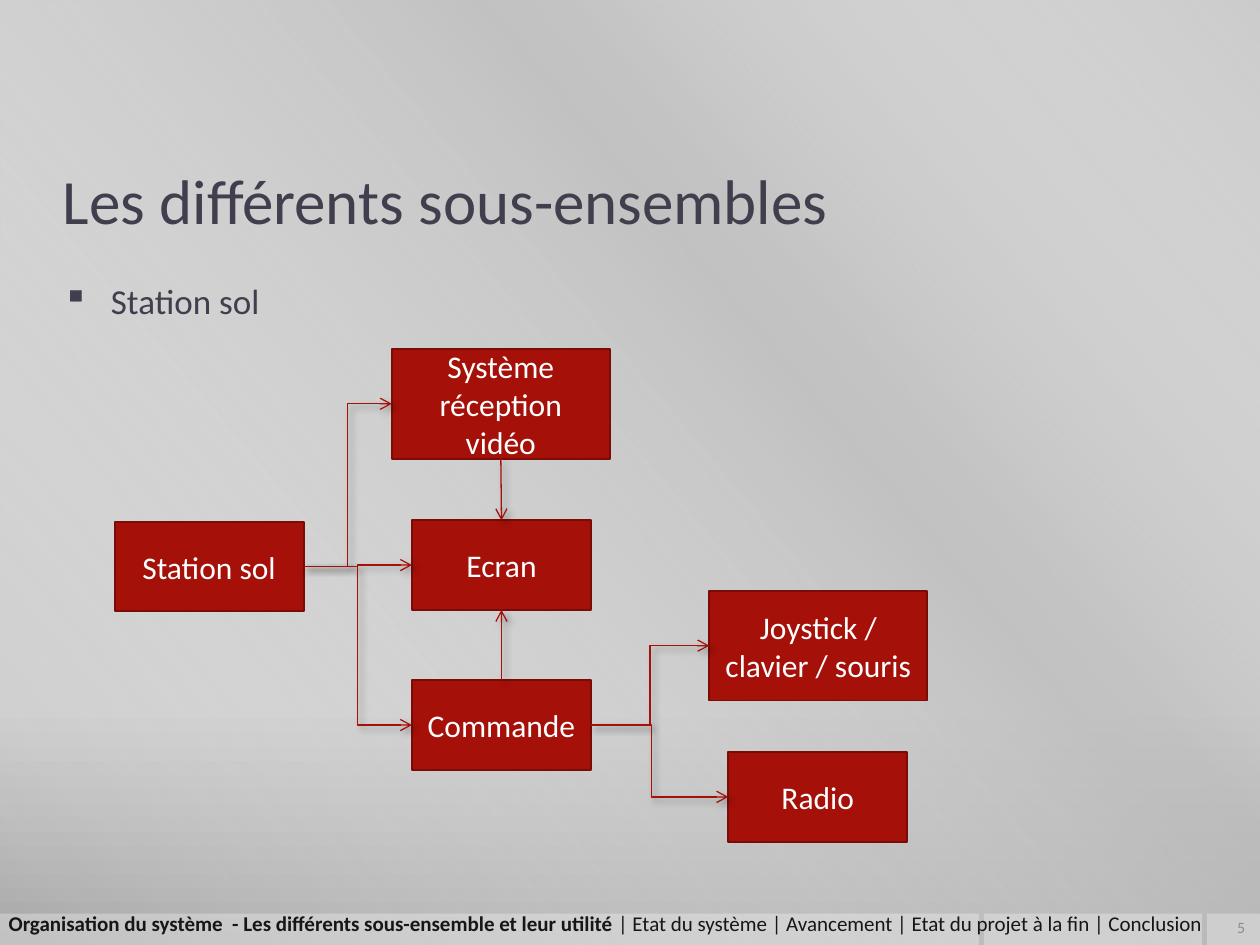
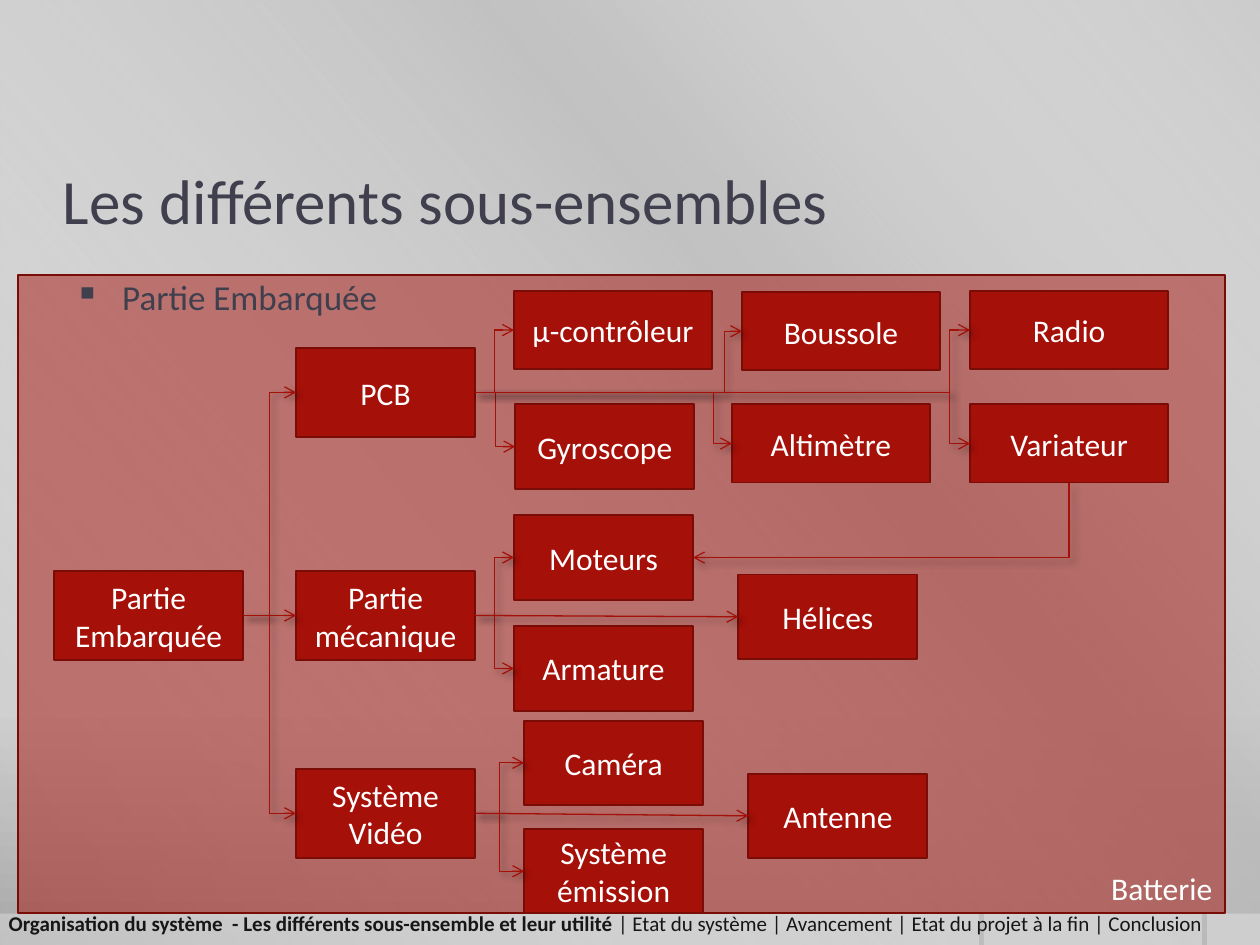
from pptx import Presentation
from pptx.dml.color import RGBColor
from pptx.enum.shapes import MSO_CONNECTOR as Link, MSO_SHAPE as Preset
from pptx.enum.text import MSO_ANCHOR as Anchor, PP_ALIGN as Align
from pptx.oxml import parse_xml
from pptx.oxml.ns import nsdecls, qn
from pptx.util import Inches, Pt

# Shared look
FONT = "Calibri"
RED = RGBColor(0xA5, 0x10, 0x09)
DARK_RED = RGBColor(0x7A, 0x0C, 0x07)
SLATE = RGBColor(0x3F, 0x3F, 0x4D)
INK = RGBColor(0x16, 0x16, 0x16)
GREY = RGBColor(0x8C, 0x8C, 0x8C)
WHITE = RGBColor(0xFF, 0xFF, 0xFF)

# Gradient stops: position, colour, opacity (percent)
BACKDROP = [(0, "CBCBCB", 100), (76, "C8C8C8", 100), (100, "A7A7A7", 100)]
SHEEN = [(0, "FFFFFF", 0), (34, "BFBFBF", 61), (38, "BFBFBF", 76), (100, "FFFFFF", 0)]
BANDS = [(9.58, 0.42), (7.81, 1.73), (0, 7.77)]

TITLE = "Les différents sous-ensembles"
CURRENT_PART = "Organisation du système  - Les différents sous-ensemble et leur utilité "
OTHER_PARTS = "| Etat du système | Avancement | Etat du projet à la fin | Conclusion"

# Connection sites of a rectangle
TOP, LEFT, BOTTOM, RIGHT = range(4)

# Box sizes
ROOT = (1.5, 0.71)
UNIT = (1.42, 0.71)
PART = (1.42, 0.67)
CHIP = (1.57, 0.62)
WIDE = (1.73, 0.87)


def add_xml(parent, tag, **attributes):
    child = parent.makeelement(qn(tag), attributes)
    parent.append(child)
    return child


def set_gradient(owner, stops, angle):
    """Replace the solid fill of owner by a linear gradient."""
    marks = "".join(
        f'<a:gs pos="{place * 1000}"><a:srgbClr val="{colour}">'
        f'<a:alpha val="{opacity * 1000}"/></a:srgbClr></a:gs>'
        for place, colour, opacity in stops)
    gradient = parse_xml(
        f'<a:gradFill {nsdecls("a")} rotWithShape="1"><a:gsLst>{marks}</a:gsLst>'
        f'<a:lin ang="{angle * 60000}" scaled="0"/></a:gradFill>')
    owner.replace(owner.find(qn("a:solidFill")), gradient)


def set_font(para, size, colour):
    para.font.name = FONT
    para.font.size = Pt(size)
    para.font.color.rgb = colour


def add_rect(page, left, top, width, height, colour, opacity=100, edge=None):
    rect = page.shapes.add_shape(
        Preset.RECTANGLE, Inches(left), Inches(top), Inches(width), Inches(height))
    rect.shadow.inherit = False
    rect.fill.solid()
    rect.fill.fore_color.rgb = colour
    if opacity < 100:
        tint = rect._element.spPr.find(qn("a:solidFill")).find(qn("a:srgbClr"))
        add_xml(tint, "a:alpha", val=str(opacity * 1000))
    if edge is None:
        rect.line.fill.background()
    else:
        rect.line.color.rgb = edge
        rect.line.width = Pt(1.1)
    return rect


def add_box(page, text, left, top, size, opacity=100, anchor=Anchor.MIDDLE,
            align=Align.CENTER):
    box = add_rect(page, left, top, *size, RED, opacity, DARK_RED)
    frame = box.text_frame
    frame.vertical_anchor = anchor
    para = frame.paragraphs[0]
    para.text = text
    para.alignment = align
    set_font(para, 18, WHITE)
    return box


def add_text(page, text, left, top, width, height, size, colour, side=0.1,
             anchor=Anchor.TOP):
    """Add a one-paragraph text box and return the paragraph."""
    frame = page.shapes.add_textbox(
        Inches(left), Inches(top), Inches(width), Inches(height)).text_frame
    frame.word_wrap = True
    frame.vertical_anchor = anchor
    frame.margin_left = frame.margin_right = Inches(side)
    para = frame.paragraphs[0]
    para.text = text
    set_font(para, size, colour)
    return para


def add_bullet(page, text, left, top):
    para = add_text(page, text, left, top, 9, 4.53, 20, SLATE, side=0)
    para.space_before, para.space_after = Pt(4), Pt(6)
    props = para._p.get_or_add_pPr()
    props.set("marL", str(Inches(0.38)))
    props.set("indent", str(-Inches(0.38)))
    mark = props.makeelement(qn("a:buChar"), {"char": "▪"})
    props.find(qn("a:defRPr")).addprevious(mark)


def style_arrow(arrow, shadow=True):
    arrow.line.color.rgb = RED
    arrow.line.width = Pt(0.75)
    props = arrow._element.spPr
    add_xml(props.find(qn("a:ln")), "a:tailEnd", type="arrow")
    effects = add_xml(props, "a:effectLst")
    if shadow:
        cast = add_xml(effects, "a:outerShdw", blurRad=str(Pt(4)), dist=str(Pt(3)),
                       dir=str(45 * 60000), algn="tl", rotWithShape="0")
        add_xml(add_xml(cast, "a:srgbClr", val="000000"), "a:alpha", val="40000")


def link(page, source, target, kind=Link.ELBOW, exit_side=RIGHT, entry_side=LEFT,
         bend=None, shadow=True):
    """Join two boxes; bend is the share of the width before the elbow."""
    arrow = page.shapes.add_connector(kind, 0, 0, 0, 0)
    arrow.begin_connect(source, exit_side)
    arrow.end_connect(target, entry_side)
    if bend is not None:
        guides = arrow._element.spPr.find(qn("a:prstGeom")).find(qn("a:avLst"))
        add_xml(guides, "a:gd", name="adj1", fmla=f"val {round(bend * 100000)}")
    style_arrow(arrow, shadow)


def link_down_left(page, source, target):
    """Go down from the bottom of source, then left into target."""
    start_x, start_y = source.left + source.width // 2, source.top + source.height
    end_x, end_y = target.left + target.width, target.top + target.height // 2
    run, drop = start_x - end_x, end_y - start_y
    # The frame is turned by 90 degrees around its centre
    left = (start_x + end_x - drop) // 2
    top = (start_y + end_y - run) // 2
    arrow = page.shapes.add_connector(Link.ELBOW, left, top, left + drop, top + run)
    props = arrow._element.spPr
    props.find(qn("a:xfrm")).set("rot", str(90 * 60000))
    props.find(qn("a:prstGeom")).set("prst", "bentConnector2")
    style_arrow(arrow)


def add_page(deck):
    """Add a page with the sheen and the bottom bands."""
    page = deck.slides.add_slide(deck.slide_layouts[6])
    sheen = add_rect(page, 0, 0, 10, 7.5, WHITE)
    set_gradient(sheen._element.spPr, SHEEN, 140)
    for left, width in BANDS:
        add_rect(page, left, 7.25, width, 0.25, WHITE, 30)
    return page


def add_title(page):
    add_text(page, TITLE, 0.5, 1.08, 9, 1, 36, SLATE, side=0, anchor=Anchor.MIDDLE)


def add_footer(page):
    para = add_text(page, CURRENT_PART, -0.03, 7.18, 10.03, 0.3, 12, INK)
    para.runs[0].font.bold = True
    span = para.add_run()
    span.text = OTHER_PARTS
    span.font.bold = False


def build_ground_station(deck):
    page = add_page(deck)
    add_title(page)
    add_bullet(page, "Station sol", 0.5, 2.17)
    number = add_text(page, "5", 9.56, 7.23, 0.42, 0.25, 9, GREY, anchor=Anchor.MIDDLE)
    number.alignment = Align.RIGHT

    # Boxes
    station = add_box(page, "Station sol", 0.91, 4.14, ROOT)
    video = add_box(page, "Système réception vidéo", 3.11, 2.77, WIDE)
    command = add_box(page, "Commande", 3.27, 5.4, UNIT)
    screen = add_box(page, "Ecran", 3.27, 4.13, UNIT)
    radio = add_box(page, "Radio", 5.78, 5.97, UNIT)
    inputs = add_box(page, "Joystick / clavier / souris", 5.63, 4.69, WIDE)

    # Arrows
    for target in (video, screen, command):
        link(page, station, target)
    link(page, command, inputs, bend=0.5)
    link(page, command, radio, bend=0.44)
    link(page, video, screen, Link.STRAIGHT, BOTTOM, TOP)
    link(page, command, screen, Link.STRAIGHT, TOP, BOTTOM)
    add_footer(page)


def build_onboard_part(deck):
    page = add_page(deck)
    add_box(page, "Batterie", 0.14, 2.18, (9.58, 5.07), 49, Anchor.BOTTOM, Align.RIGHT)
    add_title(page)
    add_bullet(page, "Partie Embarquée", 0.59, 2.14)

    # Main units
    onboard = add_box(page, "Partie Embarquée", 0.43, 4.53, ROOT)
    board, mechanics, video = [
        add_box(page, text, 2.35, top, UNIT)
        for text, top in (("PCB", 2.76), ("Partie mécanique", 4.53),
                          ("Système Vidéo", 6.1))]

    # Electronics
    controller = add_box(page, "µ-contrôleur", 4.08, 2.31, CHIP)
    gyroscope = add_box(page, "Gyroscope", 4.09, 3.21, PART)
    compass = add_box(page, "Boussole", 5.89, 2.32, CHIP)
    altimeter = add_box(page, "Altimètre", 5.81, 3.21, CHIP)
    radio = add_box(page, "Radio", 7.7, 2.31, CHIP)
    drive = add_box(page, "Variateur", 7.7, 3.21, CHIP)

    # Mechanics and video
    motors = add_box(page, "Moteurs", 4.08, 4.09, PART)
    frame = add_box(page, "Armature", 4.08, 4.97, PART)
    propellers = add_box(page, "Hélices", 5.86, 4.56, PART)
    camera = add_box(page, "Caméra", 4.16, 5.72, PART)
    sender = add_box(page, "Système émission", 4.16, 6.58, PART)
    antenna = add_box(page, "Antenne", 5.94, 6.14, PART)

    # Arrows
    for target in (board, mechanics, video):
        link(page, onboard, target)
    for target in (controller, gyroscope):
        link(page, board, target, bend=0.5, shadow=False)
    for target, bend in ((compass, 0.933), (altimeter, 0.927), (radio, 0.959),
                         (drive, 0.959)):
        link(page, board, target, bend=bend)
    for source, targets in ((mechanics, (motors, frame)), (video, (camera, sender))):
        for target in targets:
            link(page, source, target, bend=0.5)
    link(page, mechanics, propellers, Link.STRAIGHT)
    link(page, video, antenna, Link.STRAIGHT)
    link_down_left(page, drive, motors)
    add_footer(page)


def main():
    deck = Presentation()
    deck.slide_width, deck.slide_height = Inches(10), Inches(7.5)
    master = deck.slide_master
    master.background.fill.solid()
    master.background.fill.fore_color.rgb = WHITE
    set_gradient(master._element.find(".//" + qn("p:bgPr")), BACKDROP, 90)
    build_ground_station(deck)
    build_onboard_part(deck)
    deck.save("out.pptx")


if __name__ == "__main__":
    main()
